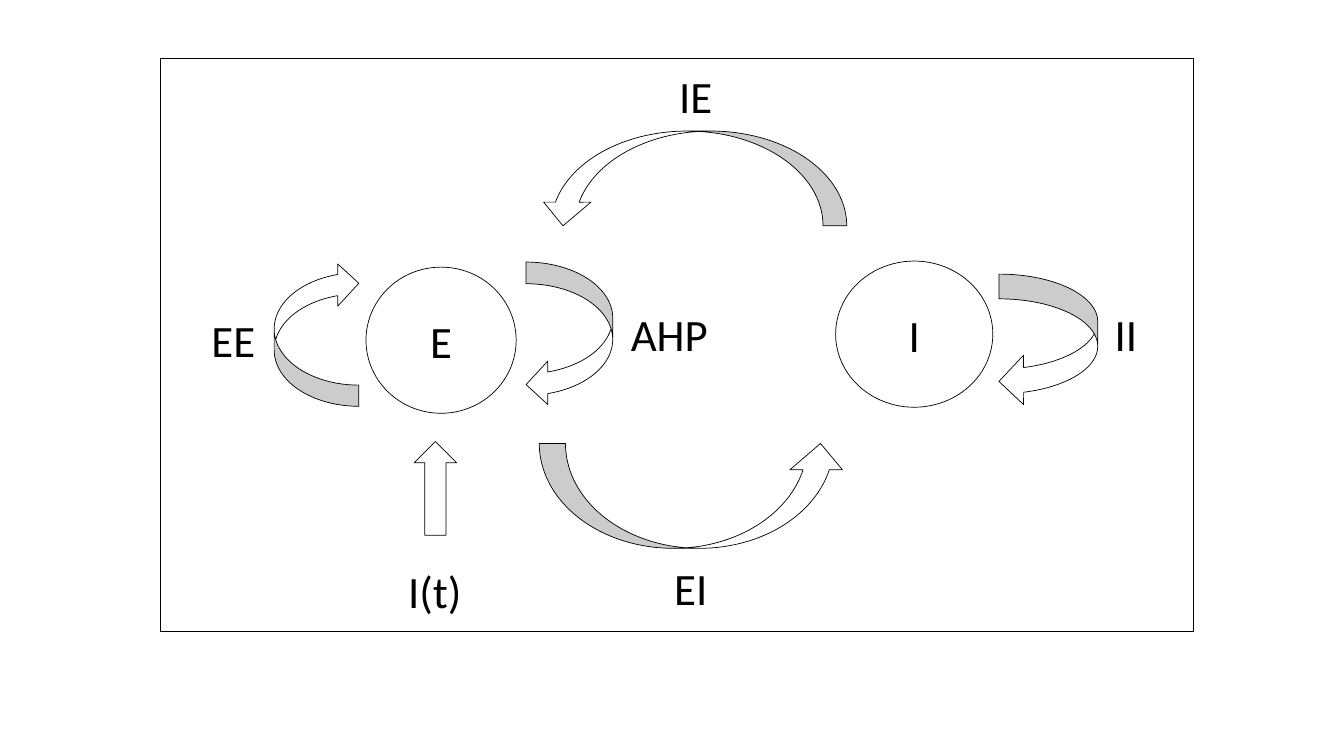
from pptx import Presentation
from pptx.dml.color import RGBColor
from pptx.enum.shapes import MSO_SHAPE
from pptx.enum.text import MSO_ANCHOR, MSO_AUTO_SIZE, PP_ALIGN
from pptx.oxml.ns import qn
from pptx.util import Pt
from lxml import etree

RECT, CIRCLE = MSO_SHAPE.RECTANGLE, MSO_SHAPE.OVAL
LOOP, ARC, UP = (MSO_SHAPE.CURVED_LEFT_ARROW, MSO_SHAPE.CURVED_UP_ARROW,
                 MSO_SHAPE.UP_ARROW)

COLORS = {"paper": "FFFFFF", "ink": "000000"}
FONT, FONT_SIZE, LABEL_HEIGHT = "Calibri", 32, 46.1

# Content: boxes are left, top, width, height
FRAME = (114.5, 41.8, 738, 409)
POPULATIONS = [
    ("E", (261.4, 190.8, 107.3, 104.4)),
    ("I", (596.9, 186.5, 112.3, 104.4)),
]
# Label, label left / top / width, arrow kind, arrow box, rotation
CONNECTIONS = [
    ("EE", (144, 219.6, 46.1), LOOP, (195.8, 187.2, 60.5, 103), 180),
    ("I(t)", (284.4, 398.9, 53.3), UP, (295.9, 315.4, 30.2, 67), 0),
    ("EI", (474.5, 396.7, 38.9), ARC, (385.2, 316.8, 219.6, 74.9), 0),
    ("IE", (478.1, 45.4, 38.9), ARC, (385.2, 93.6, 219.6, 67.7), 180),
    ("II", (789.1, 215.3, 31), LOOP, (713.5, 195.8, 70.6, 94.3), 0),
    ("AHP", (443.5, 215.3, 69.8), LOOP, (375.8, 187.2, 61.9, 103), 0),
]

prs = Presentation()
prs.slide_width, prs.slide_height = Pt(960), Pt(540)
slide = prs.slides.add_slide(prs.slide_layouts[6])


def color(name):
    return RGBColor.from_string(COLORS[name])


def add_outlined(kind, box, rotation=0):
    shape = slide.shapes.add_shape(kind, *map(Pt, box))
    shape.shadow.inherit = False
    shape.fill.solid()
    shape.fill.fore_color.rgb = color("paper")
    shape.line.color.rgb = color("ink")
    shape.line.width = Pt(0.5)
    shape.rotation = rotation
    return shape


def write(frame, text, align):
    paragraph = frame.paragraphs[0]
    paragraph.text = text
    paragraph.alignment = align
    paragraph.font.name = FONT
    paragraph.font.size = Pt(FONT_SIZE)
    paragraph.font.color.rgb = color("ink")


# Translucent frame
frame = add_outlined(RECT, FRAME)
frame_color = frame.fill._xPr.find(qn("a:solidFill"))[0]
etree.SubElement(frame_color, qn("a:alpha")).set("val", "29000")

# Neuron populations
for name, box in POPULATIONS:
    population = add_outlined(CIRCLE, box)
    population.text_frame.vertical_anchor = MSO_ANCHOR.MIDDLE
    write(population.text_frame, name, PP_ALIGN.CENTER)

# Connections with their labels
for name, place, kind, box, rotation in CONNECTIONS:
    add_outlined(kind, box, rotation)
    label = slide.shapes.add_textbox(*map(Pt, (*place, LABEL_HEIGHT)))
    label.text_frame.word_wrap = False
    label.text_frame.auto_size = MSO_AUTO_SIZE.SHAPE_TO_FIT_TEXT
    write(label.text_frame, name, PP_ALIGN.LEFT)

prs.save("out.pptx")
